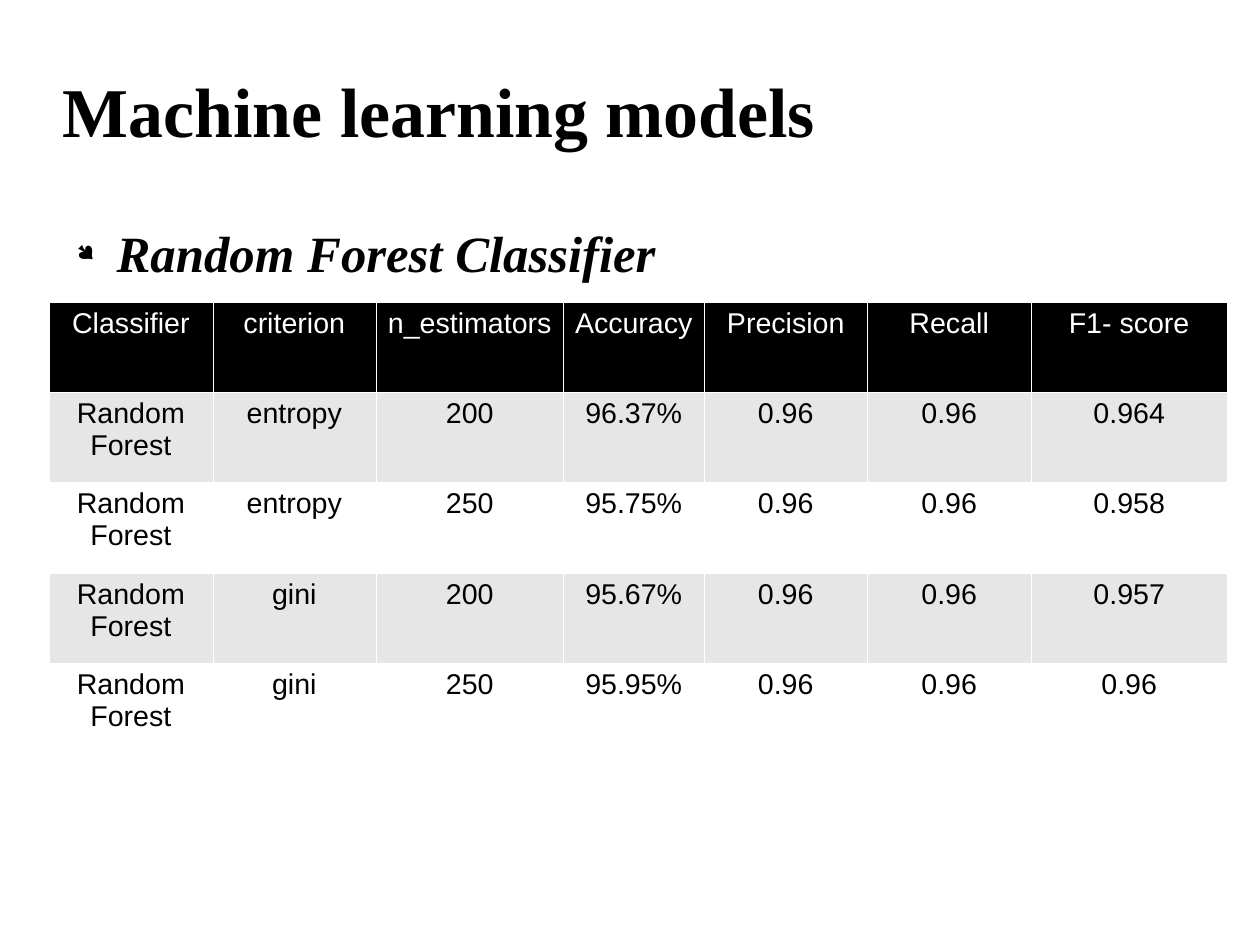
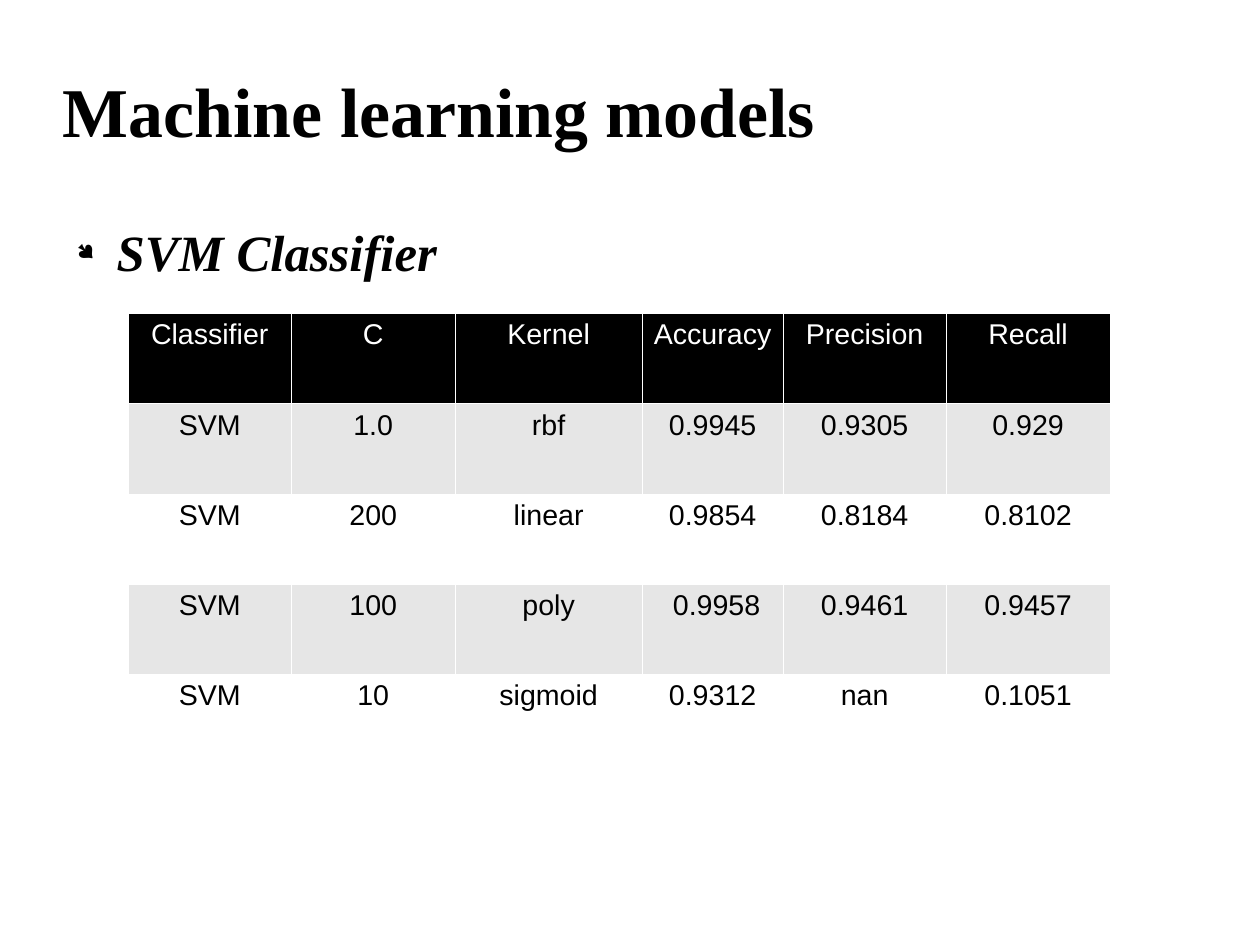
import pptx
import pptx.util
import pptx.dml.color
import pptx.enum.text
import pptx.oxml
import pptx.oxml.ns

Inches, Pt = pptx.util.Inches, pptx.util.Pt
PP_ALIGN = pptx.enum.text.PP_ALIGN
MSO_ANCHOR = pptx.enum.text.MSO_ANCHOR

TITLE = "Machine learning models"
SLIDES = [
    {
        "heading": "Random Forest Classifier",
        "heading_at": (0.55, 1.94, 9.7, 0.71),
        "table_at": (0.43, 2.64),
        "rows": [
            ("Classifier", "criterion", "n_estimators", "Accuracy", "Precision", "Recall", "F1- score"),
            ("Random Forest", "entropy", "200", "96.37%", "0.96", "0.96", "0.964"),
            ("Random Forest", "entropy", "250", "95.75%", "0.96", "0.96", "0.958"),
            ("Random Forest", "gini", "200", "95.67%", "0.96", "0.96", "0.957"),
            ("Random Forest", "gini", "250", "95.95%", "0.96", "0.96", "0.96"),
        ],
    },
    {
        "heading": "SVM Classifier",
        "heading_at": (0.55, 1.93, 4.73, 0.67),
        "table_at": (1.12, 2.74),
        "rows": [
            ("Classifier", "C", "Kernel", "Accuracy", "Precision", "Recall"),
            ("SVM", "1.0", "rbf", "0.9945", "0.9305", "0.929"),
            ("SVM", "200", "linear", "0.9854", "0.8184", "0.8102"),
            ("SVM", "100", "poly", " 0.9958", "0.9461", "0.9457"),
            ("SVM", "10", "sigmoid", "0.9312", "nan", "0.1051"),
        ],
    },
]

CM_PER_INCH = 2.54
SLIDE_CM = (28, 21)
BLACK, WHITE, GREY = "000000", "FFFFFF", "E6E6E6"
COL_WIDTHS = [1.43, 1.43, 1.64, 1.23, 1.43, 1.43, 1.72]
ROW_HEIGHTS = [0.79, 0.79, 0.79, 0.79, 0.88]
TITLE_AT = (0.55, 0.33, 8.43, 1.25)
TITLE_FONT = {"name": "Times New Roman", "size": Pt(44), "bold": True}
HEADING_FONT = {"name": "Times New Roman", "size": Pt(32), "bold": True, "italic": True}
CELL_FONT = {"name": "Arial", "size": Pt(18), "bold": False}
FRAME = {"margin_left": 0, "margin_top": 0, "margin_right": 0, "margin_bottom": 0,
         "word_wrap": True, "auto_size": pptx.enum.text.MSO_AUTO_SIZE.NONE}


def rgb(value):
    return pptx.dml.color.RGBColor.from_string(value)


def set_all(obj, values):
    for name, value in values.items():
        setattr(obj, name, value)


def element(tag, children=(), **attributes):
    node = pptx.oxml.parse_xml(f"<a:{tag} {pptx.oxml.ns.nsdecls('a')}/>")
    for name, value in attributes.items():
        node.set(name, str(value))
    for child in children:
        node.append(child)
    return node


def write(p, text, font, color):
    r = p.add_run()
    r.text = text
    set_all(r.font, font)
    r.font.color.rgb = rgb(color)


def place(sp, box):
    set_all(sp, dict(zip(("left", "top", "width", "height"), map(Inches, box))))


def add_title(s):
    sp = s.shapes.title
    place(sp, TITLE_AT)
    set_all(sp.text_frame, FRAME | {"vertical_anchor": MSO_ANCHOR.MIDDLE})
    p = sp.text_frame.paragraphs[0]
    p.alignment = PP_ALIGN.LEFT
    write(p, TITLE, TITLE_FONT, BLACK)


def add_heading(s, text, box):
    tf = s.shapes.add_textbox(*map(Inches, box)).text_frame
    set_all(tf, FRAME)
    p = tf.paragraphs[0]
    pr = p._p.get_or_add_pPr()
    pr.set("marL", str(Inches(0.47)))
    pr.set("indent", str(Inches(-0.35)))
    for node in (element("buClr", [element("srgbClr", val=BLACK)]),
                 element("buSzPct", val=45000),
                 element("buFont", typeface="Wingdings", charset=2),
                 element("buChar", char="●")):
        pr.append(node)
    p.space_after = Pt(14.2)
    write(p, text, HEADING_FONT, BLACK)


def add_borders(cell):
    pr = cell._tc.get_or_add_tcPr()
    for i, side in enumerate(("lnL", "lnR", "lnT", "lnB")):
        fill = element("solidFill", [element("srgbClr", val=WHITE)])
        pr.insert(i, element(side, [fill], w=Pt(0.06)))


def add_results(s, rows, at):
    widths = COL_WIDTHS[:len(rows[0])]
    box = (*at, sum(widths), sum(ROW_HEIGHTS))
    table = s.shapes.add_table(len(rows), len(widths), *map(Inches, box)).table
    for column, width in zip(table.columns, widths):
        column.width = Inches(width)
    for i, (row, height) in enumerate(zip(table.rows, ROW_HEIGHTS)):
        row.height = Inches(height)
        fill = BLACK if i == 0 else GREY if i % 2 else WHITE
        for cell, text in zip(row.cells, rows[i]):
            cell.fill.solid()
            cell.fill.fore_color.rgb = rgb(fill)
            add_borders(cell)
            p = cell.text_frame.paragraphs[0]
            p.alignment = PP_ALIGN.CENTER
            write(p, text, CELL_FONT, BLACK if i else WHITE)


def main():
    prs = pptx.Presentation()
    prs.slide_width, prs.slide_height = (Inches(cm / CM_PER_INCH) for cm in SLIDE_CM)
    for item in SLIDES:
        s = prs.slides.add_slide(prs.slide_layouts[5])
        add_title(s)
        add_heading(s, item["heading"], item["heading_at"])
        add_results(s, item["rows"], item["table_at"])
    prs.save("out.pptx")


if __name__ == "__main__":
    main()
